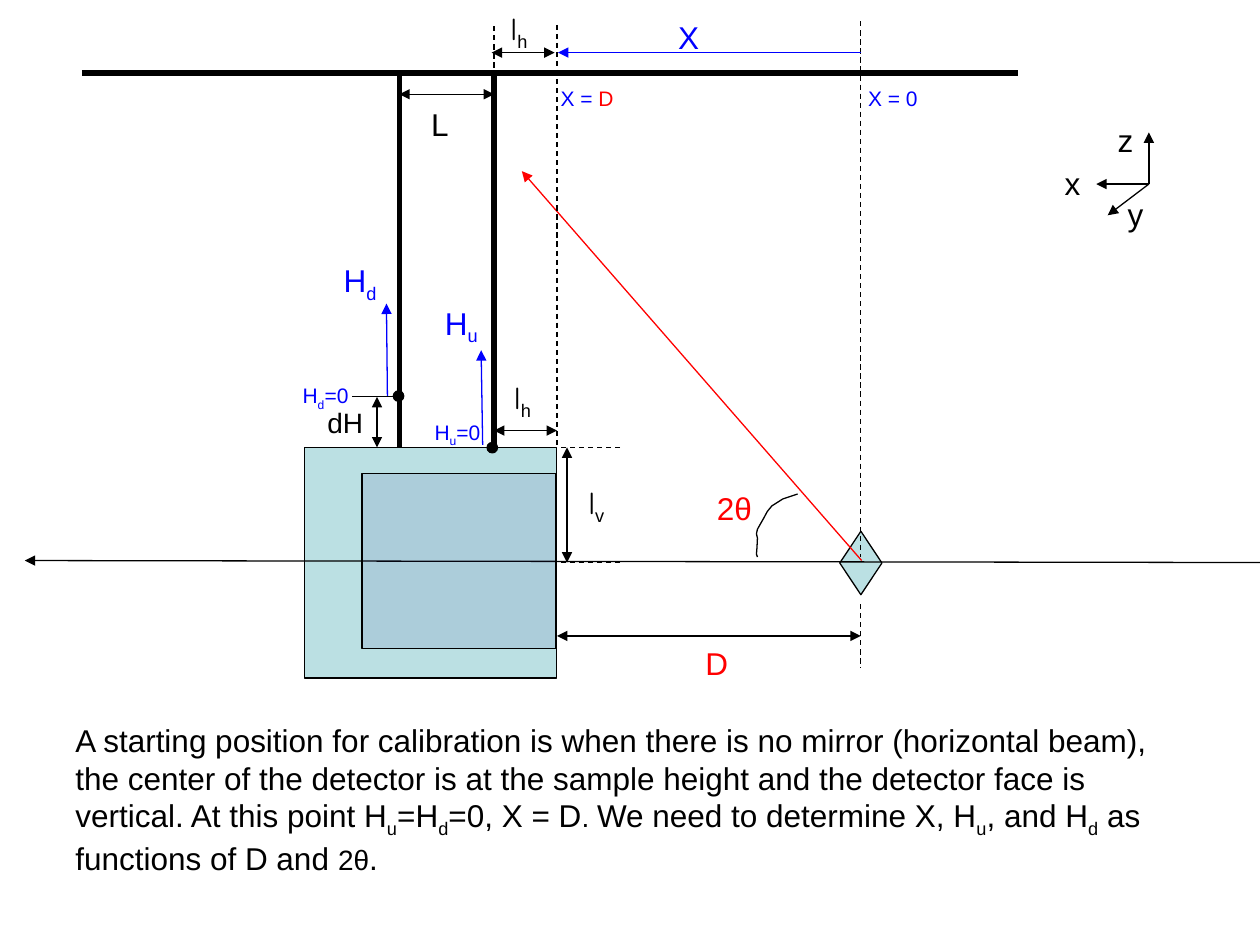
from lxml import etree
from pptx import Presentation
from pptx.dml.color import RGBColor
from pptx.enum.dml import MSO_LINE
from pptx.enum.shapes import MSO_CONNECTOR, MSO_SHAPE
from pptx.enum.text import MSO_ANCHOR, MSO_AUTO_SIZE, PP_ALIGN
from pptx.oxml.ns import qn
from pptx.util import Cm, Pt

DASH = MSO_LINE.DASH
STRAIGHT = MSO_CONNECTOR.STRAIGHT
DIAMOND, RECT, OVAL = MSO_SHAPE.DIAMOND, MSO_SHAPE.RECTANGLE, MSO_SHAPE.OVAL
TOP, LEFT, GROW = MSO_ANCHOR.TOP, PP_ALIGN.LEFT, MSO_AUTO_SIZE.SHAPE_TO_FIT_TEXT
COLORS = {"black": "000000", "blue": "0000FF", "red": "FF0000",
          "pale": "BBE0E3", "indigo": "333399"}
SUB = {"sub": True}
SMALL = {"size": 16}
THIN, THICK = 0.75, 3


class Diagram:
    """Draws the elements of a geometry diagram on one slide."""

    def __init__(self, page, font="Arial"):
        self.shapes = page.shapes
        self.font = font

    def color(self, name):
        return RGBColor.from_string(COLORS[name])

    def stroke(self, item, color="black", width=THIN):
        item.line.color.rgb = self.color(color)
        item.line.width = Pt(width)

    def line(self, x1, y1, x2, y2, color="black", width=THIN, dash=False, ends=()):
        line = self.shapes.add_connector(STRAIGHT, Cm(x1), Cm(y1), Cm(x2), Cm(y2))
        self.stroke(line, color, width)
        if dash:
            line.line.dash_style = DASH
        outline = line.line._get_or_add_ln()
        for end in ends:
            etree.SubElement(outline, qn(f"a:{end}End"), type="triangle")
        etree.SubElement(line._element.spPr, qn("a:effectLst"))

    def arrow(self, x1, y1, x2, y2, color="black"):
        self.line(x1, y1, x2, y2, color, ends=("tail",))

    def measure(self, x1, y1, x2, y2):
        self.line(x1, y1, x2, y2, ends=("head", "tail"))

    def shape(self, kind, x, y, width, height, fill, alpha=None):
        shape = self.shapes.add_shape(kind, Cm(x), Cm(y), Cm(width), Cm(height))
        shape.shadow.inherit = False
        shape.fill.solid()
        shape.fill.fore_color.rgb = self.color(fill)
        self.stroke(shape)
        if alpha is not None:
            tone = shape._element.spPr.find(qn("a:solidFill"))[0]
            etree.SubElement(tone, qn("a:alpha"), val=str(alpha * 1000))

    def curve(self, points):
        builder = self.shapes.build_freeform(*points[0], scale=3600)
        builder.add_line_segments(points[1:], close=False)
        arc = builder.convert_to_shape()
        arc.shadow.inherit = False
        arc.fill.background()
        self.stroke(arc)

    def text(self, x, y, width, height, spans, size=18, color="black",
             inset=(0, 0), wrap=True):
        box = self.shapes.add_textbox(Cm(x), Cm(y), Cm(width), Cm(height))
        frame = box.text_frame
        frame.word_wrap = wrap
        frame.auto_size = GROW
        frame.vertical_anchor = TOP
        frame.margin_left = frame.margin_right = Cm(inset[0])
        frame.margin_top = frame.margin_bottom = Cm(inset[1])
        para = frame.paragraphs[0]
        para.alignment = LEFT
        for words, style in spans:
            span = para.add_run()
            span.text = words
            span.font.name = style.get("font", self.font)
            span.font.size = Pt(style.get("size", size))
            span.font.color.rgb = self.color(style.get("color", color))
            if style.get("sub"):
                span._r.get_or_add_rPr().set("baseline", "-25000")


deck = Presentation()
deck.slide_width, deck.slide_height = Cm(25.4), Cm(19.05)
diagram = Diagram(deck.slides.add_slide(deck.slide_layouts[6]))

rear, front, face, sample = 8.05, 9.96, 11.23, 17.35
rail, top, beam, zero = 1.47, 9.02, 11.34, 8
padding = (0.25, 0.13)

diagram.shape(DIAMOND, 16.93, 10.71, 0.85, 1.28, "pale")
diagram.shape(RECT, 6.14, top, 5.08, 4.65, "pale")
diagram.line(sample, 12.18, sample, 13.46, dash=True)
diagram.measure(face, 12.82, sample, 12.82)
diagram.arrow(17.37, 11.3, 10.52, 3.45, "red")
diagram.line(face, 0.5, face, top, dash=True)
diagram.arrow(25.4, beam, 0.5, 11.3)
for height in (top, beam):
    diagram.line(12.5, height, face, height, dash=True)
diagram.measure(11.43, top, 11.43, beam)

for post in (front, rear):
    diagram.line(post, top, post, rail, width=THICK)
diagram.line(1.65, rail, 20.53, rail, width=THICK)
diagram.measure(front, 1.9, rear, 1.9)
diagram.measure(face, 8.68, front, 8.68)
diagram.arrow(7.81, zero, 7.79, 6.12, "blue")
diagram.curve([(1608, 996), (1593, 1001), (1578, 1006), (1567, 1013),
               (1556, 1020), (1547, 1031), (1540, 1044), (1532, 1058),
               (1527, 1067), (1525, 1076), (1527, 1085), (1526, 1105),
               (1525, 1117), (1527, 1123)])
diagram.line(sample, 0.43, sample, 11.23, dash=True)
diagram.arrow(sample, 1.06, 11.25, 1.06, "blue")

for tip in ((23.16, 2.67), (22.1, 3.71), (22.33, 4.34)):
    diagram.arrow(23.16, 3.71, *tip)
for name, x, y in (("x", 21.46, 3.3), ("y", 22.73, 3.94), ("z", 22.53, 2.44),
                   ("L", 8.69, 2.11)):
    diagram.text(x, y, 0.43, 0.76, [(name, {})])

for x, y in ((9.82, 8.92), (7.93, 7.88)):
    diagram.shape(OVAL, x, y, 0.21, 0.21, "black")
diagram.line(rear, zero, 7.09, zero)
diagram.measure(7.6, zero, 7.6, top)
diagram.shape(RECT, 7.3, 9.55, 3.91, 3.53, "indigo", alpha=11)
diagram.arrow(9.73, 8.97, 9.7, 7.06, "blue")
diagram.line(front, 0.53, front, rail, dash=True)
diagram.measure(11.18, 1.06, 9.91, 1.06)

for mark, x, y in (("h", 10.36, 7.62), ("v", 11.86, 9.73), ("h", 10.29, 0.18)):
    diagram.text(x, y, 0.64, 0.86, [("l", {"font": "Comic Neue"}), (mark, SUB)])
for mark, x, y, zero_x, zero_y in (("d", 6.93, 5.26, 6.1, 7.72),
                                   ("u", 8.97, 6.12, 8.76, 8.46)):
    symbol = [("H", {}), (mark, SUB)]
    diagram.text(x, y, 0.86, 0.86, symbol, color="blue")
    diagram.text(zero_x, zero_y, 1.6, 0.58, symbol + [("=0", {})], 12, "blue")
diagram.text(6.6, 8.18, 0.95, 1.35, [("dH", {})], 16)
diagram.text(13.67, 0.36, 0.64, 0.76, [("X", {})], color="blue")
diagram.text(11.3, 1.73, 1.93, 0.51, [("X = ", {}), ("D", {"color": "red"})], 12, "blue")
diagram.text(17.5, 1.73, 1.93, 0.51, [("X = 0", {})], 12, "blue")
diagram.text(13.97, 12.85, 0.95, 1.02, [("D", {})], color="red", inset=padding)
diagram.text(14.2, 9.73, 1.22, 1.02, [("2θ", {})], color="red", inset=padding, wrap=False)
diagram.text(1.27, 14.4, 22.2, 3.4, [
    ("A starting position for calibration is when there is no mirror (horizontal "
     "beam), the center of the detector is at the sample height and the detector "
     "face is vertical. At this point H", {}),
    ("u", SUB), ("=H", {}), ("d", SUB), ("=0, X = D", {}), (". ", SMALL),
    ("We need to determine X, H", {}), ("u", SUB), (", and H", {}), ("d", SUB),
    (" as functions of D and ", {}), ("2θ", SMALL), (".", {})], inset=padding)

deck.save("out.pptx")
